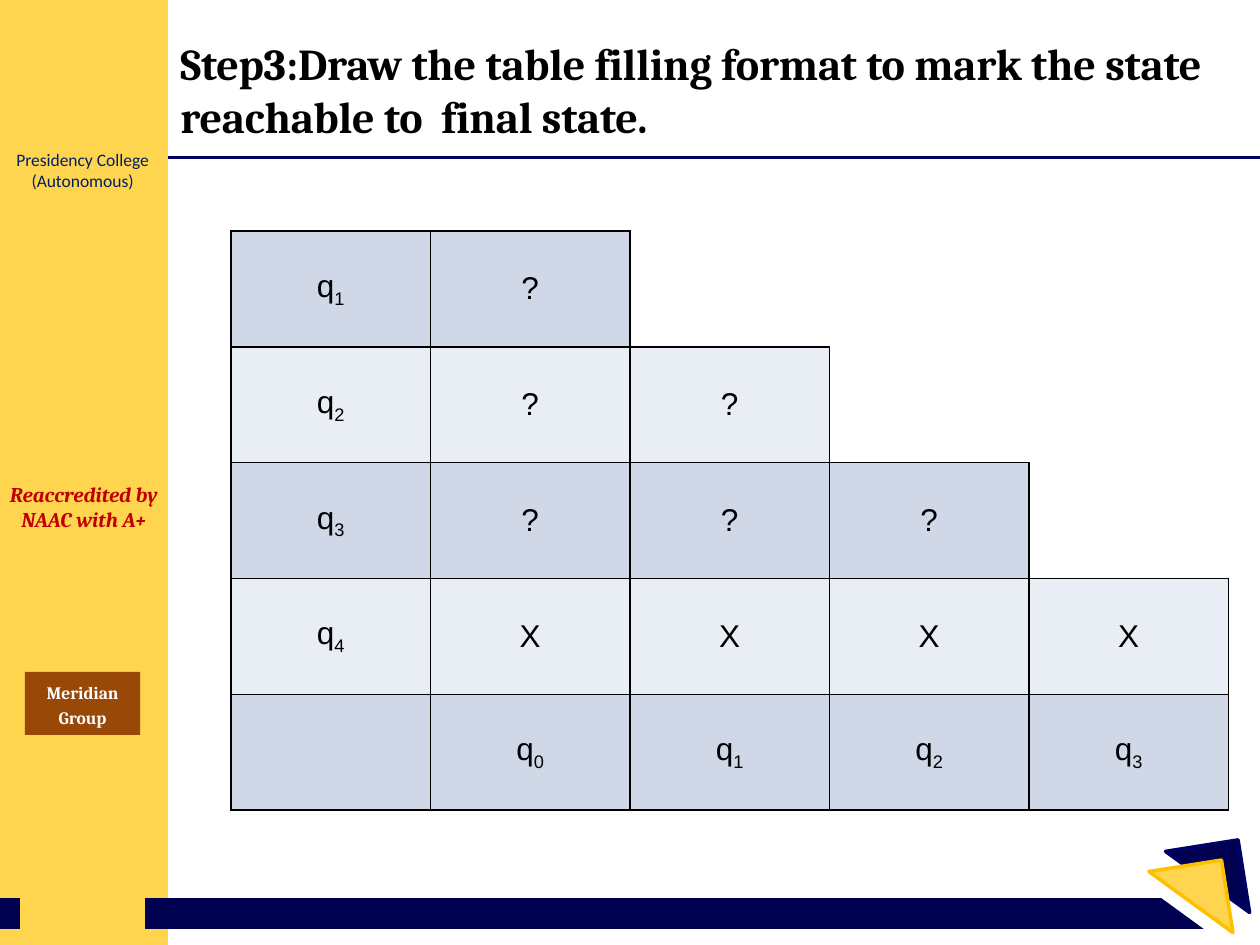
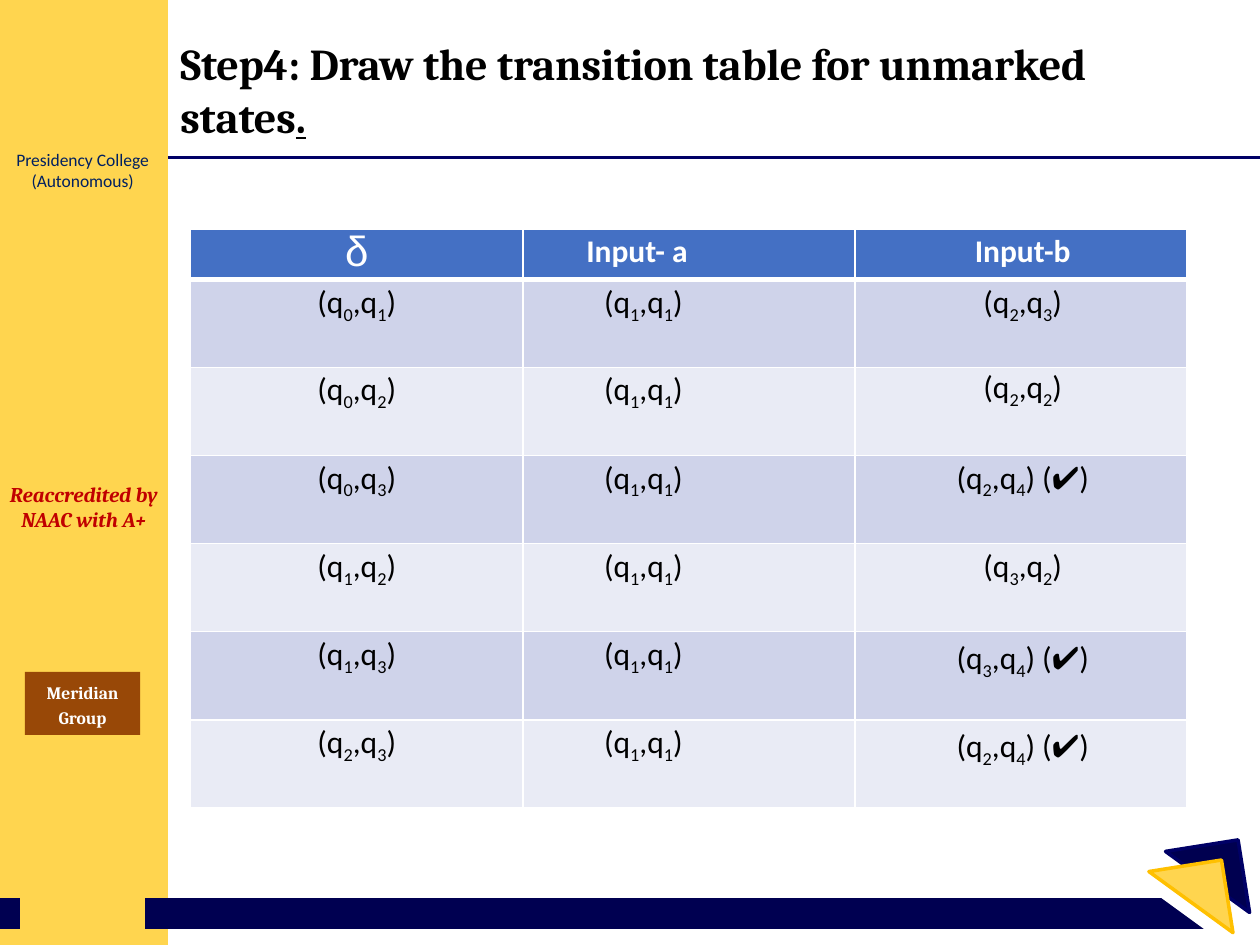
from itertools import groupby
from lxml import etree
from pptx import Presentation
from pptx.dml.color import RGBColor
from pptx.enum.shapes import MSO_CONNECTOR as LINE, MSO_SHAPE as SHAPE
from pptx.enum.text import MSO_ANCHOR as ANCHOR, PP_ALIGN as ALIGN
from pptx.oxml.ns import qn
from pptx.util import Pt

GOLD, NAVY, RULE = "FFD54F", "000051", "000066"
BLACK, WHITE = "000000", "FFFFFF"
HEAD, BANDS = "4470C4", ("CFD3EA", "E9EBF5")
STEPS = ("D0D8E8", "E9EDF4")
SERIF, SANS = "Cambria", "Calibri"

MARKS = [
    ["q1", "?"],
    ["q2", "?", "?"],
    ["q3", "?", "?", "?"],
    ["q4", "X", "X", "X", "X"],
    ["", "q0", "q1", "q2", "q3"],
]
MOVES = [
    ["δ", "Input- a", "Input-b"],
    ["(q0,q1)", "(q1,q1)", "(q2,q3)"],
    ["(q0,q2)", "(q1,q1)", "(q2,q2)"],
    ["(q0,q3)", "(q1,q1)", "(q2,q4) (✔)"],
    ["(q1,q2)", "(q1,q1)", "(q3,q2)"],
    ["(q1,q3)", "(q1,q1)", "(q3,q4) (✔)"],
    ["(q2,q3)", "(q1,q1)", "(q2,q4) (✔)"],
]
# Top margins of the rows: first two columns, then the last column
TOPS = [(2, 2), (2.5, 2.5), (2, 0.5), (2, 2), (2, 2), (2, 4.5), (2, 4.5)]


def color(code):
    return RGBColor.from_string(code)


def paint(fill, code):
    fill.solid()
    fill.fore_color.rgb = color(code)


def style(font, size, name, code, bold=False, italic=False):
    font.size, font.name = Pt(size), name
    font.bold, font.italic = bold, italic
    font.color.rgb = color(code)


def add_box(slide, x, y, w, h, fill, line=None, kind=SHAPE.RECTANGLE):
    box = slide.shapes.add_shape(kind, Pt(x), Pt(y), Pt(w), Pt(h))
    box.shadow.inherit = False
    paint(box.fill, fill)
    if line:
        paint(box.line.fill, line)
        box.line.width = Pt(2)
    else:
        box.line.fill.background()
    return box


def add_line(slide, x, end, y, width, code):
    line = slide.shapes.add_connector(LINE.STRAIGHT, Pt(x), Pt(y), Pt(end), Pt(y))
    paint(line.line.fill, code)
    line.line.width = Pt(width)
    etree.SubElement(line._element.spPr, qn("a:effectLst"))


def add_wedge(slide, x, y, fill, line):
    wedge = add_box(slide, x, y, 42, 42, fill, line, SHAPE.ISOSCELES_TRIANGLE)
    wedge.adjustments[0] = 0
    wedge.rotation = 261
    wedge._element.spPr.find(qn("a:xfrm")).set("flipH", "1")
    etree.SubElement(wedge._element.spPr.find(qn("a:ln")), qn("a:round"))


def write(shape, text, *look, space=1.0):
    """Fill a shape with centred lines of one look."""
    frame = shape.text_frame
    frame.word_wrap = True
    frame.text = text
    for para in frame.paragraphs:
        para.alignment = ALIGN.CENTER
        para.line_spacing = space
        for run in para.runs:
            style(run.font, *look)


def add_frame(slide):
    """Draw the side band, footer and rule that all slides share."""
    add_box(slide, 0, 0, 96, 540, GOLD)
    add_line(slide, 83, 696, 522, 18, NAVY)
    add_wedge(slide, 656.5, 501, WHITE, WHITE)
    add_wedge(slide, 669, 483, "000050", RULE)
    add_wedge(slide, 659.5, 494.5, GOLD, "FFC000")
    note = slide.shapes.add_textbox(Pt(-4.3), Pt(271.5), Pt(104.4), Pt(36))
    write(note, "Reaccredited by NAAC with A+", 12, SERIF, "C00000", True, True)
    group = add_box(slide, 14.2, 384, 66, 36, "984807")
    write(group, "Meridian\nGroup", 10, SERIF, WHITE, True, space=1.15)
    add_line(slide, 0, 11.7, 522, 18, NAVY)
    college = add_box(slide, 0, 79, 94.3, 36, GOLD, GOLD)
    write(college, "Presidency College\n(Autonomous)", 10, SANS, "002060")
    add_line(slide, 96, 720, 90, 2.25, RULE)


def add_title(slide, text, tail=""):
    """Write the title, with an underlined tail."""
    box = slide.shapes.add_textbox(Pt(96), Pt(18), Pt(606), Pt(66))
    frame = box.text_frame
    frame.word_wrap = True
    frame.vertical_anchor = ANCHOR.MIDDLE
    frame.text = text
    para = frame.paragraphs[0]
    if tail:
        para.add_run().text = tail
        para.runs[-1].font.underline = True
    for run in para.runs:
        style(run.font, 25.2, SERIF, BLACK, True)
        run._r.get_or_add_rPr().set("spc", "-10")


def add_grid(slide, x, y, widths, heights):
    size = len(heights), len(widths)
    frame = slide.shapes.add_table(*size, Pt(x), Pt(y), Pt(sum(widths)), Pt(sum(heights)))
    grid = frame.table
    grid.first_row = grid.horz_banding = False
    for col, width in zip(grid.columns, widths):
        col.width = Pt(width)
    for row, height in zip(grid.rows, heights):
        row.height = Pt(height)
    return grid


def edge(cell, code, **sides):
    """Draw borders; sides are L, R, T, B in that order, with widths."""
    props = cell._tc.get_or_add_tcPr()
    for side, width in sides.items():
        line = etree.SubElement(props, qn(f"a:ln{side}"), w=str(Pt(width)))
        fill = etree.SubElement(line, qn("a:solidFill"))
        etree.SubElement(fill, qn("a:srgbClr"), val=code)


def kind(char):
    return "sub" if char.isdigit() else "tick" if char == "✔" else "text"


def put(cell, text, *look, align=ALIGN.CENTER):
    """Write cell text, with digits lowered as subscripts."""
    para = cell.text_frame.paragraphs[0]
    para.alignment = align
    for part, chars in groupby(text, kind):
        run = para.add_run()
        run.text = "".join(chars)
        style(run.font, *look)
        if part == "sub":
            run._r.get_or_add_rPr().set("baseline", "-25000")
        elif part == "tick":
            run.font.name = "Karla"


def add_marks(slide):
    """Draw the stepped table of state pairs."""
    grid = add_grid(slide, 132, 132, [114] * 5, [66.2] * 5)
    for r, texts in enumerate(MARKS):
        for c in range(5):
            cell = grid.cell(r, c)
            if c < len(texts):
                edge(cell, BLACK, L=1, R=1, T=1, B=1)
                paint(cell.fill, STEPS[r % 2])
                cell.vertical_anchor = ANCHOR.MIDDLE
                put(cell, texts[c], 18, "Arial", BLACK)
            else:
                sides = {"L": 1} if c == len(texts) else {}
                edge(cell, BLACK, **sides, B=1)
                cell.fill.background()
        if len(texts) < 4:
            grid.cell(r, len(texts)).merge(grid.cell(r, 4))


def add_moves(slide):
    """Draw the transition table."""
    grid = add_grid(slide, 109, 130.8, [189.8] * 3, [28.1] + [50.35] * 6)
    walls = [{"R": 1}, {"L": 1, "R": 1.5}, {"L": 1.5}]
    for r, texts in enumerate(MOVES):
        rows = {"B": 3} if r == 0 else {"T": 3 if r == 1 else 1, "B": 1}
        for c, text in enumerate(texts):
            cell = grid.cell(r, c)
            edge(cell, WHITE, **walls[c], **rows)
            paint(cell.fill, BANDS[(r - 1) % 2] if r else HEAD)
            cell.margin_left = Pt(2 if c == 2 else 0)
            cell.margin_right = Pt((98.5 if r else 95.5) if c == 1 else 0)
            cell.margin_top = Pt(TOPS[r][c == 2] if text != "δ" else 0)
            cell.margin_bottom = 0
            look = (24, "Arial") if text == "δ" else (18, SANS)
            bold = r == 0 and c > 0
            put(cell, text, *look, BLACK if r else WHITE, bold,
                align=ALIGN.RIGHT if c == 1 else ALIGN.CENTER)


def main():
    deck = Presentation()
    deck.slide_width, deck.slide_height = Pt(720), Pt(540)
    pages = [
        ("Step3:Draw the table filling format to mark the state "
         "reachable to  final state.", "", add_marks),
        ("Step4: Draw the transition table for unmarked states", ".", add_moves),
    ]
    for text, tail, add_body in pages:
        slide = deck.slides.add_slide(deck.slide_layouts[6])
        add_frame(slide)
        add_title(slide, text, tail)
        add_body(slide)
    deck.save("out.pptx")


if __name__ == "__main__":
    main()
